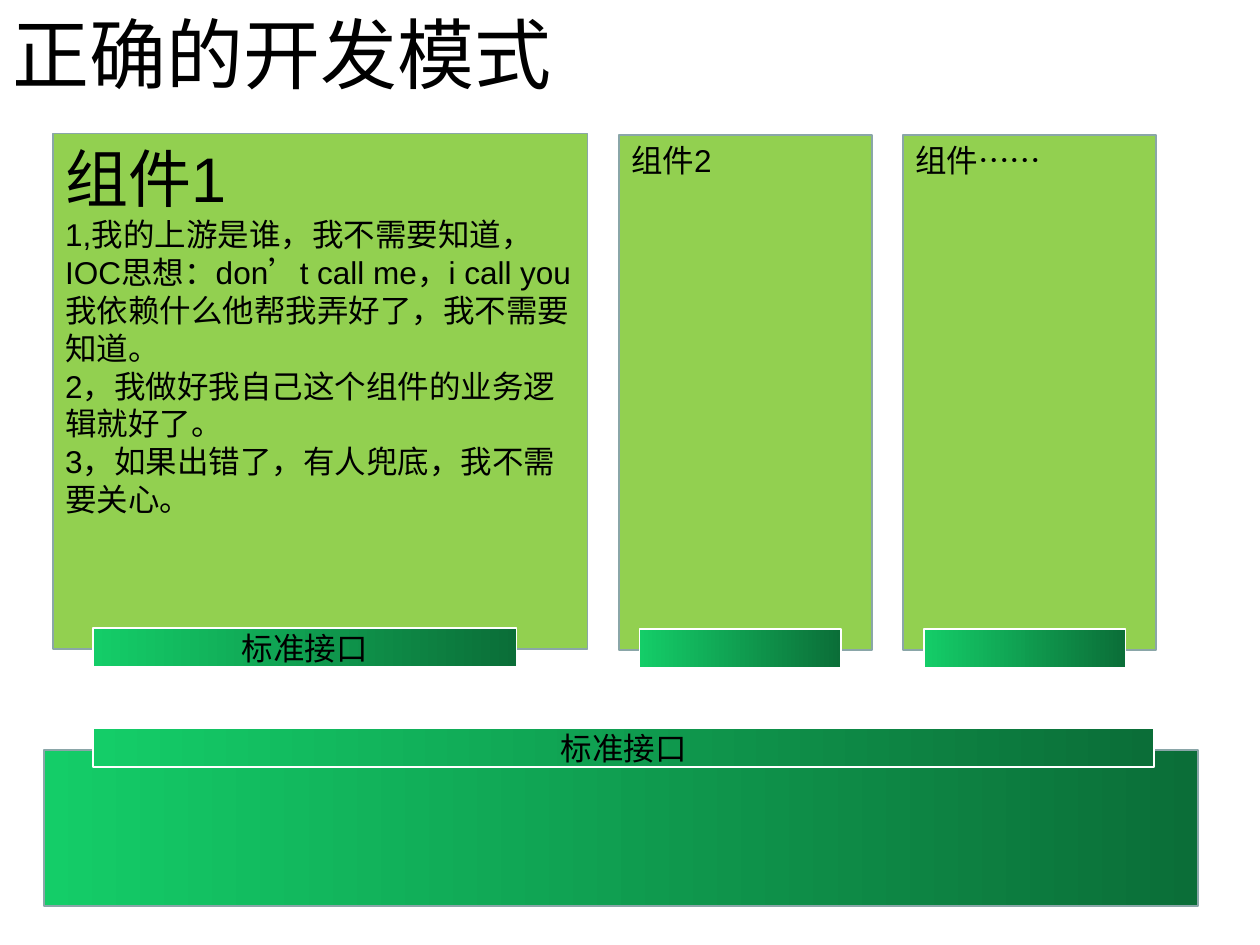
from dataclasses import dataclass

from pptx import Presentation
from pptx.dml.color import RGBColor
from pptx.enum.shapes import MSO_SHAPE
from pptx.enum.text import MSO_ANCHOR, PP_ALIGN
from pptx.util import Pt


@dataclass(frozen=True)
class Theme:
    text: RGBColor = RGBColor(0, 0, 0)
    component: RGBColor = RGBColor(0x92, 0xD0, 0x50)
    border: RGBColor = RGBColor(0x8A, 0xA6, 0xA8)
    interface_border: RGBColor = RGBColor(0xFF, 0xFF, 0xFF)
    gradient: tuple = (RGBColor(0x14, 0xCD, 0x68), RGBColor(0x0B, 0x6E, 0x38))
    font: str = "Arial"
    title_size: int = 44
    heading_size: int = 36
    body_size: int = 18


THEME = Theme()
FRAME_FORMAT = {
    "word_wrap": True,
    "margin_left": Pt(7.2),
    "margin_right": Pt(7.2),
    "margin_top": Pt(3.6),
    "margin_bottom": Pt(3.6),
}
INTERFACE_HEIGHT = 22.3
PRINCIPLES = (
    "1,我的上游是谁，我不需要知道，IOC思想：don’t call me，i call you",
    "我依赖什么他帮我弄好了，我不需要知道。",
    "2，我做好我自己这个组件的业务逻辑就好了。",
    "3，如果出错了，有人兜底，我不需要关心。",
)


def apply_format(target, values):
    for name, value in values.items():
        setattr(target, name, value)


def write_lines(frame, lines, anchor, alignment):
    apply_format(frame, FRAME_FORMAT | {"vertical_anchor": anchor})
    for index, (words, size) in enumerate(lines):
        paragraph = frame.add_paragraph() if index else frame.paragraphs[0]
        paragraph.alignment = alignment
        run = paragraph.add_run()
        run.text = words
        apply_format(run.font, {"name": THEME.font, "size": Pt(size)})
        run.font.color.rgb = THEME.text


def add_block(slide, box, border):
    block = slide.shapes.add_shape(MSO_SHAPE.RECTANGLE, *map(Pt, box))
    block.shadow.inherit = False
    block.line.color.rgb = border
    block.line.width = Pt(1)
    return block


def add_gradient_block(slide, box, border):
    block = add_block(slide, box, border)
    block.fill.gradient()
    block.fill.gradient_angle = 0
    for stop, color in zip(block.fill.gradient_stops, THEME.gradient):
        stop.color.rgb = color
    return block


def add_title(slide, box, words):
    title = slide.shapes.title
    apply_format(title, dict(zip(("left", "top", "width", "height"), map(Pt, box))))
    write_lines(title.text_frame, [(words, THEME.title_size)], MSO_ANCHOR.MIDDLE, PP_ALIGN.LEFT)


def add_interface(slide, box, label=None):
    interface = add_gradient_block(slide, box, THEME.interface_border)
    if label:
        write_lines(interface.text_frame, [(label, THEME.body_size)], MSO_ANCHOR.MIDDLE, PP_ALIGN.CENTER)


def add_component(slide, box, lines, interface_inset, interface_width, label=None):
    left, top, width, height = box
    component = add_block(slide, box, THEME.border)
    component.fill.solid()
    component.fill.fore_color.rgb = THEME.component
    write_lines(component.text_frame, lines, MSO_ANCHOR.TOP, PP_ALIGN.LEFT)
    interface_top = top + height - 12
    add_interface(slide, (left + interface_inset, interface_top, interface_width, INTERFACE_HEIGHT), label)


def add_platform(slide, box, label):
    left, top, width, height = box
    add_gradient_block(slide, box, THEME.border)
    add_interface(slide, (left + 28.1, top - 12.2, width - 53.3, INTERFACE_HEIGHT), label)


def main():
    presentation = Presentation()
    apply_format(presentation, {"slide_width": Pt(720), "slide_height": Pt(540)})
    slide = presentation.slides.add_slide(presentation.slide_layouts[5])

    add_title(slide, (0, 0, 720, 60), "正确的开发模式")
    add_platform(slide, (25.2, 428.4, 659.5, 89.3), "标准接口")
    main_lines = [("组件1", THEME.heading_size)]
    main_lines += [(principle, THEME.body_size) for principle in PRINCIPLES]
    add_component(slide, (30.2, 76.3, 305.6, 294.5), main_lines, 23.1, 241.9, "标准接口")
    for index, name in enumerate(("组件2", "组件……")):
        box = (353.5 + index * 162.5, 77, 144.7, 294.5)
        add_component(slide, box, [(name, THEME.body_size)], 12, 115.2)

    presentation.save("out.pptx")


if __name__ == "__main__":
    main()
